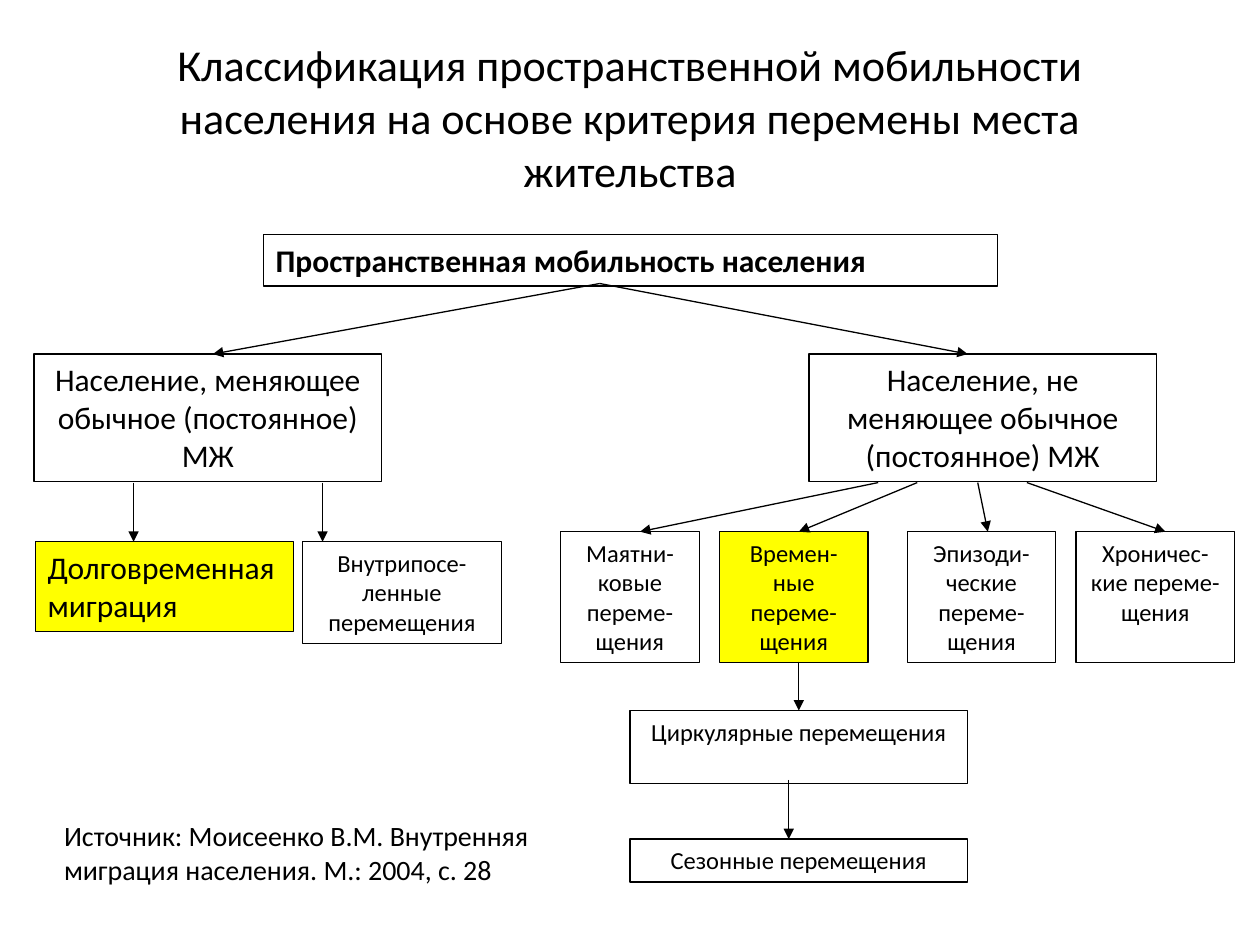
from dataclasses import dataclass
from typing import Optional

from lxml.etree import SubElement
from pptx import Presentation
from pptx.dml.color import RGBColor
from pptx.enum.shapes import MSO_CONNECTOR as Connector, MSO_SHAPE as Shape
from pptx.enum.text import MSO_ANCHOR as Anchor, MSO_AUTO_SIZE as AutoSize, PP_ALIGN as Align
from pptx.oxml.ns import qn
from pptx.util import Inches, Pt

BLACK = "000000"
YELLOW = "FFFF00"
FONT = "Calibri"


@dataclass
class Box:
    text: str
    left: float
    top: float
    width: float
    height: float
    size: float = 14
    align: Align = Align.CENTER
    bold: bool = False
    fill: Optional[str] = None


@dataclass
class Arrow:
    start: tuple[float, float]
    end: tuple[float, float]
    target: Optional[str] = None


def color(value: str) -> RGBColor:
    return RGBColor.from_string(value)


def write(shape, text: str, size: float, align: Align, bold: bool = False,
          anchor: Anchor = Anchor.TOP, fit: AutoSize = AutoSize.SHAPE_TO_FIT_TEXT) -> None:
    frame = shape.text_frame
    frame.word_wrap = True
    frame.auto_size = fit
    frame.vertical_anchor = anchor
    frame.text = text
    paragraph = frame.paragraphs[0]
    paragraph.alignment = align
    font = paragraph.font
    font.name = FONT
    font.size = Pt(size)
    font.bold = bold
    font.color.rgb = color(BLACK)


def draw_box(slide, box: Box):
    shape = slide.shapes.add_shape(
        Shape.RECTANGLE, Inches(box.left), Inches(box.top), Inches(box.width), Inches(box.height))
    shape.shadow.inherit = False
    if box.fill:
        shape.fill.solid()
        shape.fill.fore_color.rgb = color(box.fill)
    else:
        shape.fill.background()
    shape.line.color.rgb = color(BLACK)
    shape.line.width = Pt(0.75)
    write(shape, box.text, box.size, box.align, box.bold)
    return shape


def draw_arrow(slide, arrow: Arrow, drawn: dict) -> None:
    connector = slide.shapes.add_connector(
        Connector.STRAIGHT, *map(Inches, arrow.start + arrow.end))
    if arrow.target:
        connector.end_connect(drawn[arrow.target], 0)
    connector.line.color.rgb = color(BLACK)
    connector.line.width = Pt(0.75)
    SubElement(connector.line._get_or_add_ln(), qn("a:tailEnd"), type="triangle")
    SubElement(connector._element.spPr, qn("a:effectLst"))


CIRCULAR = "Циркулярные перемещения"
GROUP_TOP, GROUP_BOTTOM = 2.81, 3.83
MOVER_TOP, STAYER_TOP = 4.3, 4.22
CIRCULAR_TOP, SEASONAL_TOP = 5.64, 6.66
ROOT_EXIT = (4.76, 2.25)

BOXES = [
    Box("Пространственная мобильность населения", 2.09, 1.86, 5.83, 0.41, 18, Align.LEFT, True),
    Box("Население, меняющее обычное (постоянное) МЖ", 0.27, GROUP_TOP, 2.76, 1.01, 18),
    Box("Население, не меняющее обычное (постоянное) МЖ", 6.42, GROUP_TOP, 2.76, 1.01, 18),
    Box("Долговременная миграция", 0.28, MOVER_TOP, 2.05, 0.71, 18, Align.LEFT, fill=YELLOW),
    Box("Внутрипосе-ленные перемещения", 2.4, MOVER_TOP, 1.58, 0.81),
    Box("Маятни-ковые переме-щения", 4.45, STAYER_TOP, 1.1, 1.04),
    Box("Времен-ные переме-щения", 5.71, STAYER_TOP, 1.18, 1.04, fill=YELLOW),
    Box("Эпизоди-ческие переме-щения", 7.2, STAYER_TOP, 1.18, 1.04),
    Box("Хроничес-кие переме-щения", 8.54, STAYER_TOP, 1.26, 1.04),
    Box("Сезонные перемещения", 5, SEASONAL_TOP, 2.68, 0.34),
    Box(CIRCULAR, 5, CIRCULAR_TOP, 2.68, 0.58),
]

ARROWS = [
    *(Arrow(ROOT_EXIT, (x, GROUP_TOP)) for x in (1.69, 7.68)),
    *(Arrow((x, GROUP_BOTTOM), (x, MOVER_TOP)) for x in (1.06, 2.56)),
    *(Arrow((start, GROUP_BOTTOM), (end, STAYER_TOP))
      for start, end in ((6.97, 5.08), (7.28, 6.34), (7.76, 7.84), (8.15, 9.25))),
    Arrow((6.34, 5.25), (6.34, CIRCULAR_TOP), CIRCULAR),
    Arrow((6.26, 6.19), (6.26, SEASONAL_TOP)),
]


def main() -> None:
    presentation = Presentation()
    presentation.slide_width = Inches(10)
    presentation.slide_height = Inches(7.5)
    slide = presentation.slides.add_slide(presentation.slide_layouts[5])

    title = slide.shapes.title
    title.left, title.top, title.width, title.height = map(Inches, (0.5, 0.3, 9, 1.25))
    write(title, "Классификация пространственной мобильности населения "
          "на основе критерия перемены места жительства",
          25.2, Align.CENTER, anchor=Anchor.MIDDLE, fit=AutoSize.NONE)

    drawn = {box.text: draw_box(slide, box) for box in BOXES}
    for arrow in ARROWS:
        draw_arrow(slide, arrow, drawn)

    citation = slide.shapes.add_textbox(*map(Inches, (0.41, 6.45, 4.35, 0.64)))
    write(citation, "Источник: Моисеенко В.М. Внутренняя миграция населения. М.: 2004, с. 28",
          16, Align.LEFT)

    presentation.save("out.pptx")


if __name__ == "__main__":
    main()
